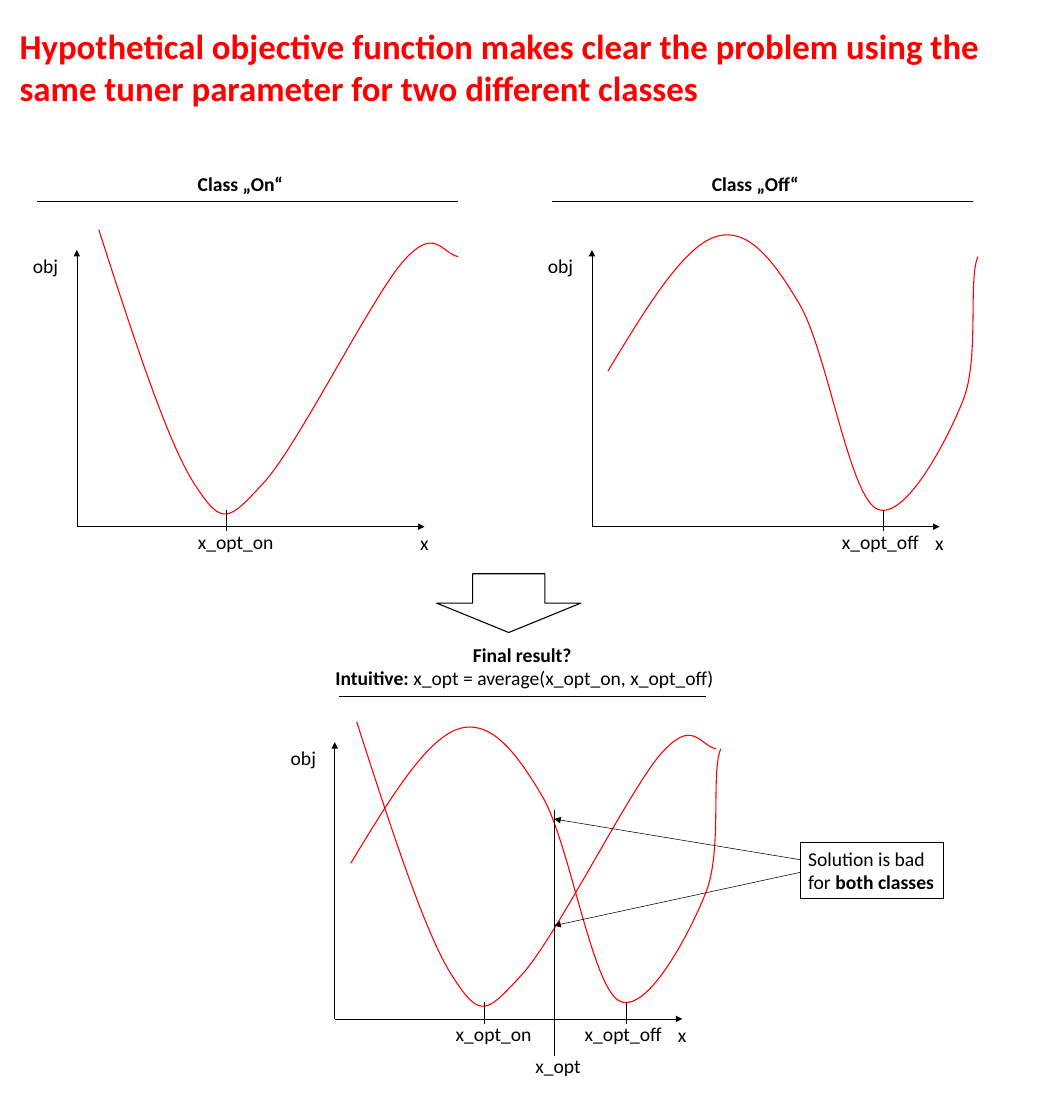
from dataclasses import dataclass
from typing import NamedTuple

from lxml.etree import SubElement
from pptx import Presentation
from pptx.dml.color import RGBColor
from pptx.enum.shapes import MSO_CONNECTOR, MSO_SHAPE
from pptx.enum.text import MSO_ANCHOR, MSO_AUTO_SIZE, PP_ALIGN
from pptx.oxml.ns import qn
from pptx.util import Inches, Pt

COLORS = {"ink": "000000", "curve": "FF0000", "paper": "FFFFFF"}
FONT = "Calibri"
COLS, ROWS = 133.3, 142.9  # square grid cells, ten to the inch
AXIS_W, AXIS_H = 44.35, 35.3
LINE_H = 4


class Run(NamedTuple):
    text: str
    bold: bool = False


class Point(NamedTuple):
    x: float
    y: float


class Box(NamedTuple):
    x: float
    y: float
    w: float
    h: float


@dataclass(frozen=True)
class Curve:
    """Start point, then three points per Bezier piece; y counts up from the axis."""
    label: str
    label_x: float
    best: float
    points: tuple


@dataclass(frozen=True)
class Panel:
    """A chart whose heading and rule are placed from the origin, with y up."""
    origin: Point
    curves: tuple
    head: tuple
    head_box: Box
    rule: tuple
    rule_y: float


ON = Curve("x_opt_on", 14.45, 19.05, (
    (2.8, 37.9),
    (7.2, 24.3), (11.6, 10.6), (15.1, 5.3),
    (18.6, -0.1), (19.4, 0.8), (23.8, 5.55),
    (28.2, 10.3), (37.4, 28.9), (41.55, 33.75),
    (45.7, 38.5), (46.5, 34.9), (48.65, 34.45)))
OFF = Curve("x_opt_off", 30.9, 37.2, (
    (2.05, 19.85),
    (6.8, 27.7), (11.5, 35.5), (15.65, 36.95),
    (19.75, 38.4), (23.05, 34.2), (26.45, 28.45),
    (29.9, 22.7), (32.75, 4.45), (36.2, 2.35),
    (39.65, 0.3), (45.15, 10.6), (47.3, 16),
    (49.5, 21.3), (47.95, 31.5), (49.25, 34.45)))

TOP_HEAD = Box(-4.25, 45.8, 50.2, LINE_H)
TOP_RULE = (-5.1, 48.65)
PANELS = (
    Panel(Point(9.8, 67.2), (ON,), ((Run("Class „On“", True),),),
          TOP_HEAD, TOP_RULE, 41.5),
    Panel(Point(75.5, 67.2), (OFF,), ((Run("Class „Off“", True),),),
          TOP_HEAD, TOP_RULE, 41.5),
    Panel(Point(42.7, 130), (ON, OFF),
          ((Run("Final result? ", True),),
           (Run("Intuitive: ", True),
            Run("x_opt = average(x_opt_on, x_opt_off)"))),
          Box(-9.3, 48.5, 67, 7.1), (0.5, 47.3), 41.2),
)
NOTE = ((Run("Solution is bad"),), (Run("for "), Run("both classes", True)))
TITLE = ("Hypothetical objective function makes clear the problem "
         "using the same tuner parameter for two different classes")


def grid(cells: float) -> int:
    return Inches(cells / 10)


def spots(box: tuple) -> list:
    return [grid(v) for v in box]


def tint(name: str) -> RGBColor:
    return RGBColor.from_string(COLORS[name])


def write(shape, paras: tuple, size: float = 18, color: str = "ink",
          align=PP_ALIGN.LEFT, wrap: bool = False,
          fit=MSO_AUTO_SIZE.SHAPE_TO_FIT_TEXT, anchor=MSO_ANCHOR.TOP) -> None:
    frame = shape.text_frame
    frame.word_wrap, frame.auto_size = wrap, fit
    frame.vertical_anchor = anchor
    for i, runs in enumerate(paras):
        para = frame.add_paragraph() if i else frame.paragraphs[0]
        para.alignment = align
        for item in runs:
            run = para.add_run()
            run.text = item.text
            font = run.font
            font.name, font.size, font.bold = FONT, Pt(size), item.bold
            font.color.rgb = tint(color)


def label(slide, text: str, box: Box) -> None:
    write(slide.shapes.add_textbox(*spots(box)), ((Run(text),),))


def line(slide, start: tuple, end: tuple, tip: bool = False) -> None:
    link = slide.shapes.add_connector(
        MSO_CONNECTOR.STRAIGHT, *spots(start), *spots(end))
    link.line.color.rgb = tint("ink")
    link.line.width = Pt(0.5)
    if tip:
        SubElement(link.line._get_or_add_ln(), qn("a:tailEnd"), type="triangle")
    SubElement(link._element.spPr, qn("a:effectLst"))


def block(slide, kind, box: Box, width: float):
    shape = slide.shapes.add_shape(kind, *spots(box))
    shape.shadow.inherit = False
    shape.fill.solid()
    shape.fill.fore_color.rgb = tint("paper")
    shape.line.color.rgb = tint("ink")
    shape.line.width = Pt(width)
    return shape


def bend(slide, origin: Point, curve: Curve) -> None:
    """Draw the curve, joining each three segments into one Bezier piece."""
    first, *rest = [(grid(origin.x + x), grid(origin.y - y))
                    for x, y in curve.points]
    pen = slide.shapes.build_freeform(*first)
    pen.add_line_segments(rest, close=False)
    shape = pen.convert_to_shape()
    shape.shadow.inherit = False
    shape.fill.background()
    shape.line.color.rgb = tint("curve")
    shape.line.width = Pt(1)
    steps = list(shape._element.iter(qn("a:lnTo")))
    track = steps[0].getparent()
    for i in range(0, len(steps), 3):
        piece = SubElement(track, qn("a:cubicBezTo"))
        for step in steps[i:i + 3]:
            piece.append(step[0])
            track.remove(step)


def plot(slide, panel: Panel) -> None:
    x, y = panel.origin
    line(slide, (x, y), (x, y - AXIS_H), tip=True)
    line(slide, (x, y), (x + AXIS_W, y), tip=True)
    label(slide, "obj", Box(x - 6.6, y - AXIS_H, 5.3, LINE_H))
    label(slide, "x", Box(x + 42.8, y, 3.1, LINE_H))
    left, right = panel.rule
    line(slide, (x + left, y - panel.rule_y), (x + right, y - panel.rule_y))
    box = panel.head_box
    head = slide.shapes.add_textbox(
        *spots((x + box.x, y - box.y, box.w, box.h)))
    write(head, panel.head, align=PP_ALIGN.CENTER, wrap=True)
    for curve in panel.curves:
        bend(slide, panel.origin, curve)
        line(slide, (x + curve.best, y - 2.1), (x + curve.best, y + 0.6))
        label(slide, curve.label, Box(x + curve.label_x, y - 0.1, 11.9, LINE_H))


def main() -> None:
    deck = Presentation()
    deck.slide_width, deck.slide_height = grid(COLS), grid(ROWS)
    slide = deck.slides.add_slide(deck.slide_layouts[5])
    title = slide.shapes.title
    title.left, title.top, title.width, title.height = spots(
        Box(1.5, 2.7, 130.8, 11.8))
    write(title, ((Run(TITLE, True),),), size=32, color="curve", wrap=True,
          fit=MSO_AUTO_SIZE.NONE)

    for panel in PANELS:
        plot(slide, panel)
    block(slide, MSO_SHAPE.DOWN_ARROW, Box(55.7, 73.2, 18.4, 7.5), 1)

    mean = 70.7
    line(slide, (mean, 103.4), (mean, 134.8))
    label(slide, "x_opt", Box(67.3, 134, 7.9, LINE_H))
    note = Box(102.1, 107.5, 18.2, 7.1)
    for start, end in ((109.7, 104.5), (111.3, 118.1)):
        line(slide, (note.x, start), (mean, end), tip=True)
    write(block(slide, MSO_SHAPE.RECTANGLE, note, 0.75), NOTE,
          anchor=MSO_ANCHOR.MIDDLE)
    deck.save("out.pptx")


if __name__ == "__main__":
    main()
